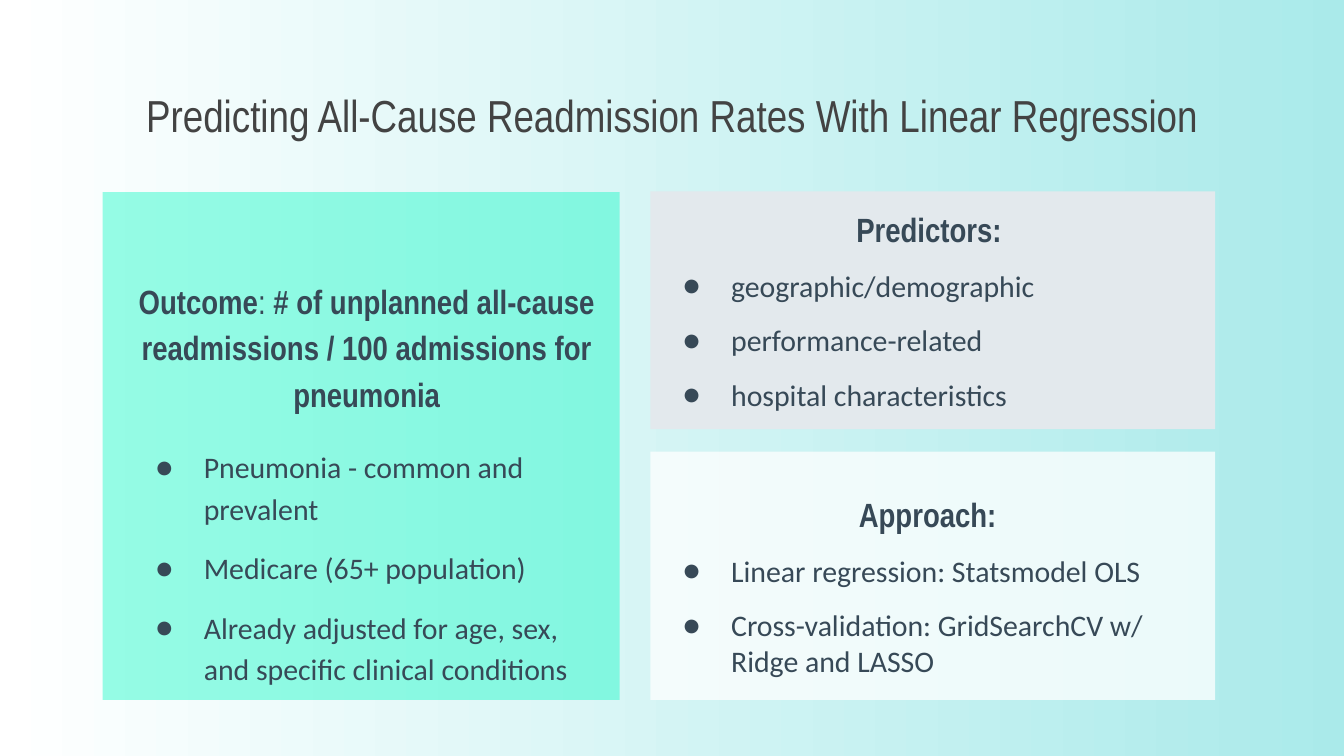
"""Build a slide on predicting readmission rates with linear regression."""
from lxml import etree
from pptx import Presentation
from pptx.dml.color import RGBColor
from pptx.enum.shapes import MSO_SHAPE
from pptx.enum.text import MSO_ANCHOR, MSO_AUTO_SIZE, PP_ALIGN
from pptx.oxml.ns import qn
from pptx.util import Pt

RECTANGLE = MSO_SHAPE.RECTANGLE
TOP, MIDDLE = MSO_ANCHOR.TOP, MSO_ANCHOR.MIDDLE
CENTER, LEFT = PP_ALIGN.CENTER, PP_ALIGN.LEFT
NO_AUTOFIT = MSO_AUTO_SIZE.NONE
COLORS = {
    "white": "FFFFFF",
    "aqua": "AAEAEA",
    "mint": "01F9C0",
    "mist": "E3E9ED",
    "ink": "374957",
    "title": "434343",
}
HEADING_FONT, LIST_FONT = "Arial Narrow", "Calibri"


def prepare(shape, box, anchor):
    shape.left, shape.top, shape.width, shape.height = [Pt(value) for value in box]
    frame = shape.text_frame
    frame.word_wrap = True
    frame.auto_size = NO_AUTOFIT
    frame.vertical_anchor = anchor
    frame.margin_left = frame.margin_right = Pt(7.2)
    frame.margin_top = frame.margin_bottom = Pt(7.2)
    return frame


def style(paragraph, name, size, color, bold, alignment, bulleted):
    properties = paragraph._p.get_or_add_pPr()
    properties.set("marL", str(Pt(36) if bulleted else 0))
    properties.set("indent", str(Pt(-26) if bulleted else 0))
    if bulleted:
        bullet_color = etree.SubElement(properties, qn("a:buClr"))
        etree.SubElement(bullet_color, qn("a:srgbClr"), val=COLORS[color])
        etree.SubElement(properties, qn("a:buFont"), typeface=name)
        etree.SubElement(properties, qn("a:buChar"), char="●")
    else:
        etree.SubElement(properties, qn("a:buNone"))
    paragraph.alignment = alignment
    paragraph.space_before = paragraph.space_after = Pt(0)
    paragraph.font.name = name
    paragraph.font.size = Pt(size)
    paragraph.font.bold = bold
    paragraph.font.color.rgb = RGBColor.from_string(COLORS[color])


presentation = Presentation()
presentation.slide_width, presentation.slide_height = Pt(720), Pt(405)
slide = presentation.slides.add_slide(presentation.slide_layouts[4])

background = slide.background.fill
background.gradient()
background.gradient_angle = 0
for stop, color, position in zip(background.gradient_stops, ("white", "aqua"), (0, 1)):
    stop.color.rgb = RGBColor.from_string(COLORS[color])
    stop.position = position

panels = [
    ((348.5, 242, 302.5, 133), "white", 75),
    ((348.5, 102.5, 302.5, 127.5), "mist", 100),
    ((55, 103, 277, 272), "mint", 40),
]
for index, (box, color, opacity) in enumerate(panels):
    panel = slide.shapes.add_shape(RECTANGLE, *[Pt(value) for value in box])
    panel.shadow.inherit = False
    panel.fill.solid()
    panel.fill.fore_color.rgb = RGBColor.from_string(COLORS[color])
    panel.line.fill.background()
    if opacity < 100:
        fill_color = panel._element.spPr.find(".//" + qn("a:srgbClr"))
        etree.SubElement(fill_color, qn("a:alpha"), val=str(opacity * 1000))
    slide.shapes._spTree.insert(2 + index, panel._element)

title = prepare(slide.shapes.title, (31.5, 32.5, 657, 58), MIDDLE).paragraphs[0]
title.text = "Predicting All-Cause Readmission Rates With Linear Regression"
style(title, HEADING_FONT, 24, "title", False, CENTER, False)

sections = [
    (1, (66, 140, 261, 235), TOP, 1.15, 16,
     [("Outcome", True), (": ", False),
      ("# of unplanned all-cause readmissions / 100 admissions for pneumonia", True)],
     ["Pneumonia - common and prevalent",
      "Medicare (65+ population)",
      "Already adjusted for age, sex, and specific clinical conditions"]),
    (2, (348.5, 102.5, 302.5, 127.5), MIDDLE, 1.0, 10,
     [("Predictors: ", True)],
     ["geographic/demographic", "performance-related", "hospital characteristics"]),
    (3, (348.5, 258.5, 297, 111), MIDDLE, 1.0, 10,
     [("Approach:", True)],
     ["Linear regression: Statsmodel OLS",
      "Cross-validation: GridSearchCV w/ Ridge and LASSO"]),
]
for number, box, anchor, line_spacing, first_gap, heading_runs, items in sections:
    frame = prepare(slide.placeholders[number], box, anchor)
    heading = frame.paragraphs[0]
    style(heading, HEADING_FONT, 18, "ink", True, CENTER, False)
    heading.line_spacing = line_spacing
    for text, bold in heading_runs:
        run = heading.add_run()
        run.text = text
        run.font.bold = bold
    for index, item in enumerate(items):
        paragraph = frame.add_paragraph()
        paragraph.text = item
        style(paragraph, LIST_FONT, 16, "ink", False, LEFT, True)
        paragraph.line_spacing = line_spacing
        paragraph.space_before = Pt(10 if index else first_gap)
    paragraph.space_after = Pt(10)

unused = slide.placeholders[4]._element
unused.getparent().remove(unused)

presentation.save("out.pptx")
